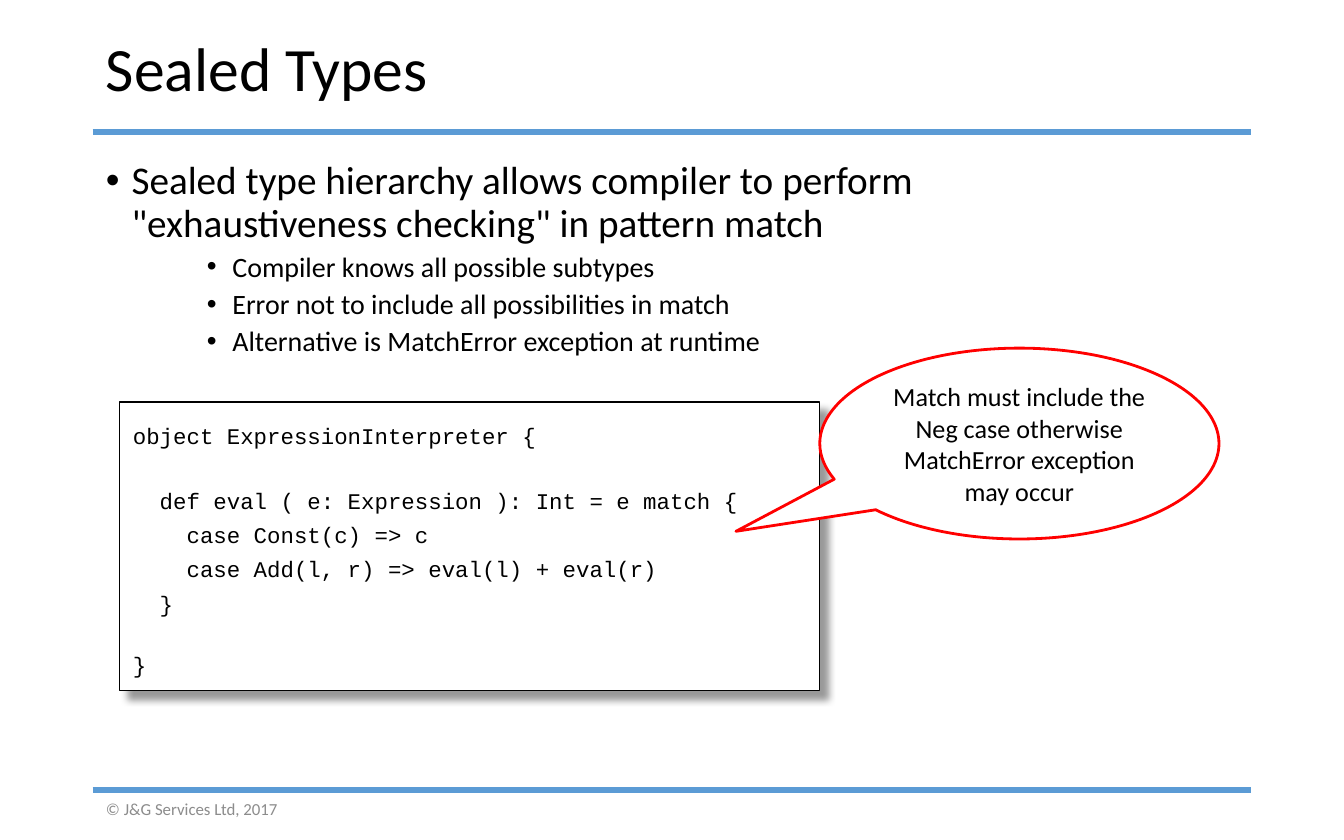
from dataclasses import dataclass

from lxml.etree import SubElement
from pptx import Presentation
from pptx.dml.color import RGBColor
from pptx.enum.shapes import MSO_CONNECTOR, MSO_SHAPE
from pptx.enum.text import MSO_ANCHOR, PP_ALIGN
from pptx.oxml.ns import qn
from pptx.util import Inches, Pt

BLACK, WHITE, BLUE, RED, GREY = "000000", "FFFFFF", "5B9BD5", "FF0000", "8C8C8C"
SANS, MONO = "Calibri", "Courier New"
LEFT, WIDTH = 0.69, 8.62


@dataclass
class Box:
    x: float
    y: float
    w: float
    h: float

    def place(self) -> list:
        return [Inches(v) for v in (self.x, self.y, self.w, self.h)]


@dataclass
class Para:
    text: str
    size: float
    font: str = SANS
    color: str = BLACK
    space: float | Pt | None = None  # line spacing
    gap: float = 0  # points before
    dent: float | None = None  # bullet text indent
    level: int = 0
    align: PP_ALIGN = PP_ALIGN.LEFT


def paint(color: str) -> RGBColor:
    return RGBColor.from_string(color)


def write(frame, paras: list[Para], anchor=MSO_ANCHOR.TOP) -> None:
    frame.word_wrap = True
    frame.vertical_anchor = anchor
    for i, para in enumerate(paras):
        p = frame.add_paragraph() if i else frame.paragraphs[0]
        p.alignment, p.level = para.align, para.level
        if para.dent is not None:
            props = p._p.get_or_add_pPr()
            props.set("marL", str(Inches(para.dent)))
            props.set("indent", str(Inches(-0.19)))
            SubElement(props, qn("a:buFont")).set("typeface", "Arial")
            SubElement(props, qn("a:buChar")).set("char", "•")
        p.space_before = Pt(para.gap)
        if para.space:
            p.line_spacing = para.space
        for n, line in enumerate(para.text.split("\n")):
            if n:
                p.add_line_break()
            run = p.add_run()
            run.text = line
            run.font.name, run.font.size = para.font, Pt(para.size)
            run.font.color.rgb = paint(para.color)


def add_text(slide, box: Box, paras: list[Para], anchor=MSO_ANCHOR.TOP) -> None:
    write(slide.shapes.add_textbox(*box.place()).text_frame, paras, anchor)


def add_rule(slide, y: float) -> None:
    rule = slide.shapes.add_connector(
        MSO_CONNECTOR.STRAIGHT, Inches(LEFT), Inches(y), Inches(LEFT + WIDTH), Inches(y))
    rule.line.color.rgb, rule.line.width = paint(BLUE), Pt(3)
    SubElement(rule._element.spPr, qn("a:effectLst"))


def add_panel(slide, kind: MSO_SHAPE, box: Box, edge: str, width: float):
    panel = slide.shapes.add_shape(kind, *box.place())
    panel.shadow.inherit = False
    panel.fill.solid()
    panel.fill.fore_color.rgb = paint(WHITE)
    panel.line.color.rgb, panel.line.width = paint(edge), Pt(width)
    return panel


def add_shade(shape) -> None:
    effects = shape._element.spPr.find(qn("a:effectLst"))
    shade = SubElement(effects, qn("a:outerShdw"), blurRad=str(Pt(4)),
                       dist=str(Pt(6)), dir=str(45 * 60000), algn="tl", rotWithShape="0")
    tint = SubElement(shade, qn("a:srgbClr"), val=BLACK)
    SubElement(tint, qn("a:alpha"), val="40000")


def main() -> None:
    deck = Presentation()
    deck.slide_width, deck.slide_height = Inches(10), Inches(6.25)
    slide = deck.slides.add_slide(deck.slide_layouts[6])

    # Rules and footer
    for y in (0.98, 5.88):
        add_rule(slide, y)
    add_text(slide, Box(LEFT, 5.91, 2.25, 0.21),
             [Para("© J&G Services Ltd, 2017", 9, color=GREY)], MSO_ANCHOR.MIDDLE)

    # Title
    add_text(slide, Box(LEFT, 0.18, WIDTH, 0.7),
             [Para("Sealed Types", 33, space=0.9)], MSO_ANCHOR.MIDDLE)

    # Bullets
    head = Para("Sealed type hierarchy allows compiler to perform \n"
                "\"exhaustiveness checking\" in pattern match", 21, space=0.9, dent=0.19)
    points = ["Compiler knows all possible subtypes",
              "Error not to include all possibilities in match",
              "Alternative is MatchError exception at runtime"]
    add_text(slide, Box(LEFT, 1.15, WIDTH, 1.7), [head] + [
        Para(t, 15, space=0.9, gap=3.8, dent=0.94, level=2) for t in points])

    # Code: text, line height, gap before
    code = [("object ExpressionInterpreter {", 16.4, 0),
            ("  def eval ( e: Expression ): Int = e match {", 18.4, 16.4),
            ("    case Const(c) => c", 18.4, 0),
            ("    case Add(l, r) => eval(l) + eval(r)", 18.4, 0),
            ("  }", 18.4, 0),
            ("}", 16.4, 16.4)]
    panel = add_panel(slide, MSO_SHAPE.RECTANGLE, Box(0.89, 2.99, 5.21, 2.15), BLACK, 0.75)
    add_shade(panel)
    frame = panel.text_frame
    frame.margin_top = frame.margin_bottom = Inches(0.12)
    write(frame, [Para(t, 12, MONO, space=Pt(high), gap=gap) for t, high, gap in code])

    # Callout
    note = add_panel(slide, MSO_SHAPE.OVAL_CALLOUT, Box(6.1, 2.59, 2.97, 1.42), RED, 1.5)
    note.adjustments[0], note.adjustments[1] = -0.71, 0.46
    write(note.text_frame, [Para(
        "Match must include the Neg case otherwise MatchError exception may occur",
        14, align=PP_ALIGN.CENTER)], MSO_ANCHOR.MIDDLE)

    deck.save("out.pptx")


if __name__ == "__main__":
    main()
